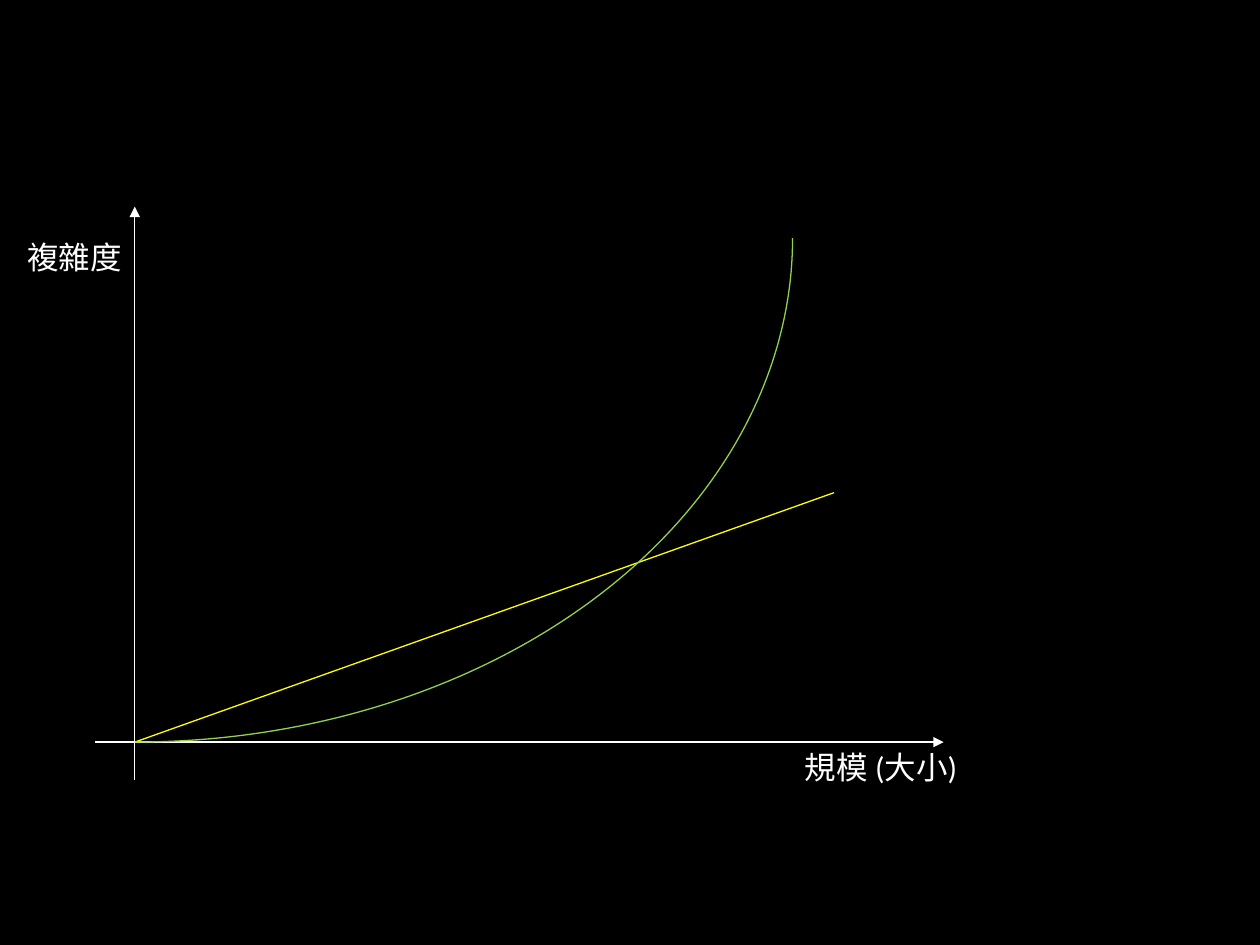
from lxml.etree import SubElement
from pptx import Presentation
from pptx.dml.color import RGBColor
from pptx.enum.shapes import MSO_CONNECTOR, MSO_SHAPE
from pptx.enum.text import MSO_AUTO_SIZE
from pptx.oxml.ns import qn
from pptx.util import Inches, Pt

BLACK = RGBColor(0x00, 0x00, 0x00)
WHITE = RGBColor(0xFF, 0xFF, 0xFF)
YELLOW = RGBColor(0xFF, 0xFF, 0x00)
GREEN = RGBColor(0x92, 0xD0, 0x50)


def write_text(frame, text, *, font, size, color):
    para = frame.paragraphs[0]
    span = para.add_run()
    span.text = text
    span.font.name = font
    span.font.size = Pt(size)
    span.font.color.rgb = color


class GraphSlide:
    """Draws a graph on a black slide, measured in a grid of 100 columns by 75 rows."""

    cell = Inches(0.1)
    font = "Calibri"
    text_size = 18
    line_width = Pt(0.75)

    def __init__(self, deck):
        deck.slide_width = 100 * self.cell
        deck.slide_height = 75 * self.cell
        self.page = deck.slides.add_slide(deck.slide_layouts[6])
        fill = self.page.background.fill
        fill.solid()
        fill.fore_color.rgb = BLACK

    def cells(self, *counts):
        return [round(count * self.cell) for count in counts]

    def stroke(self, shape, color):
        shape.line.color.rgb = color
        shape.line.width = self.line_width

    def line(self, start, end, color, arrow=False):
        connector = self.page.shapes.add_connector(
            MSO_CONNECTOR.STRAIGHT, *self.cells(*start, *end))
        self.stroke(connector, color)
        SubElement(connector._element.spPr, qn("a:effectLst"))
        if arrow:
            outline = connector.line._get_or_add_ln()
            SubElement(outline, qn("a:tailEnd"), type="triangle")

    def label(self, text, left, top, width, height, wrap=False):
        box = self.page.shapes.add_textbox(*self.cells(left, top, width, height))
        frame = box.text_frame
        frame.word_wrap = wrap
        frame.auto_size = MSO_AUTO_SIZE.SHAPE_TO_FIT_TEXT
        write_text(frame, text, font=self.font, size=self.text_size, color=WHITE)

    def rising_curve(self, center, reach, rise, color):
        column, row = center
        arc = self.page.shapes.add_shape(
            MSO_SHAPE.ARC,
            *self.cells(column - rise, row - reach, 2 * rise, 2 * reach))
        arc.rotation = 90
        arc.shadow.inherit = False
        arc.fill.background()
        self.stroke(arc, color)


def main():
    deck = Presentation()
    graph = GraphSlide(deck)
    origin = origin_column, origin_row = 10.7, 58.9
    rise = 40

    graph.line((7.5, origin_row), (74.9, origin_row), WHITE, arrow=True)
    graph.line((origin_column, 61.9), (origin_column, 16.4), WHITE, arrow=True)
    graph.label("規模 (大小)", 62.9, origin_row, 14.2, 4, wrap=True)
    graph.label("複雜度", 1.2, 18.4, 9.6, 4)
    graph.line(origin, (66.2, 39.1), YELLOW)
    graph.rising_curve((origin_column, origin_row - rise), 52.2, rise, GREEN)

    deck.save("out.pptx")


if __name__ == "__main__":
    main()
